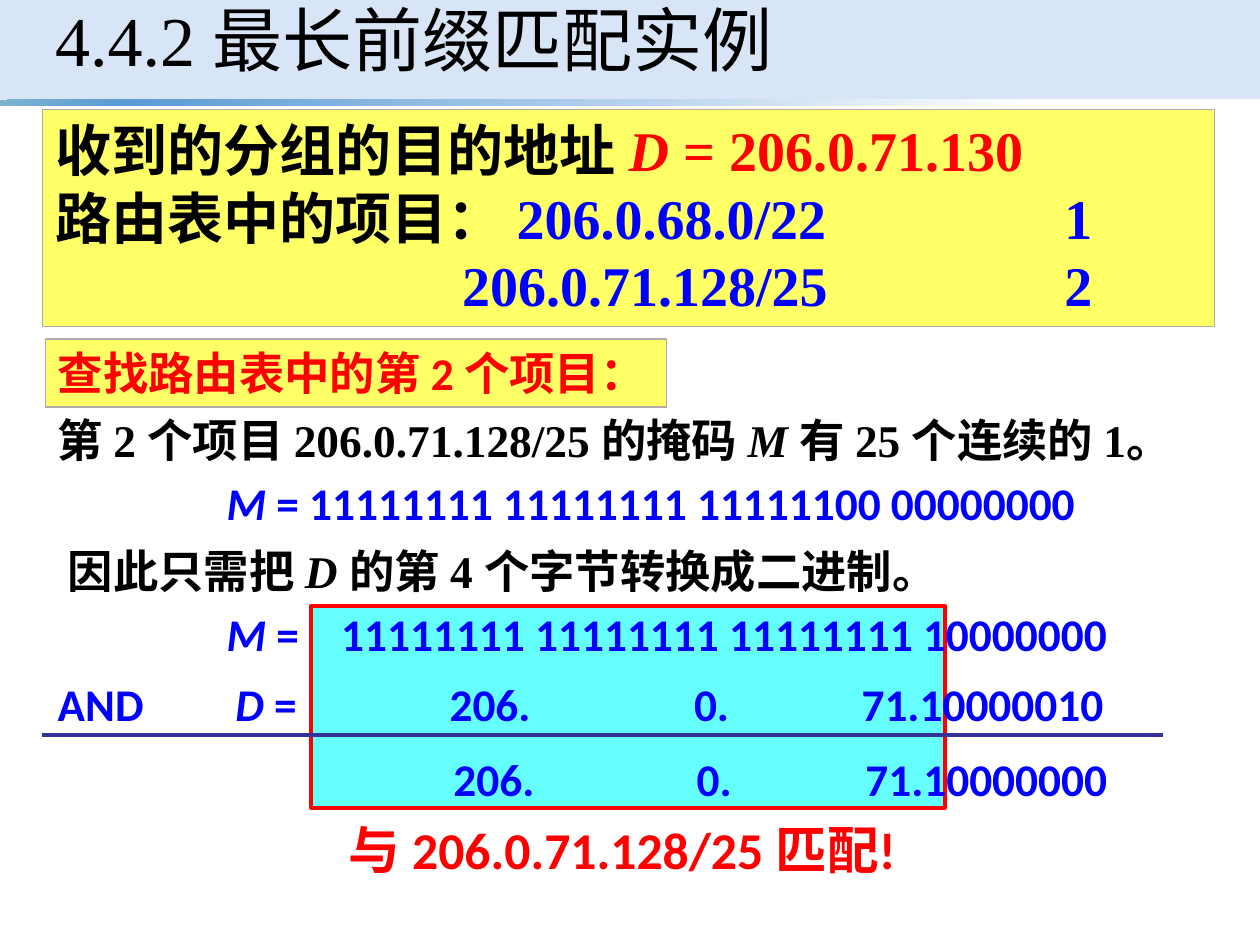
"""Build the slide on a longest-prefix-match example."""
import copy

import pptx
import pptx.dml.color
import pptx.enum.shapes
import pptx.enum.text
import pptx.oxml
import pptx.oxml.ns
import pptx.util

Inches = pptx.util.Inches
RGBColor = pptx.dml.color.RGBColor
qn = pptx.oxml.ns.qn

BLACK = RGBColor(0x00, 0x00, 0x00)
RED = RGBColor(0xFF, 0x00, 0x00)
BLUE = RGBColor(0x00, 0x00, 0xFF)
YELLOW = RGBColor(0xFF, 0xFF, 0x66)
CYAN = RGBColor(0x66, 0xFF, 0xFF)
GRAY = RGBColor(0xAF, 0xAB, 0xAB)
NAVY = RGBColor(0x33, 0x33, 0x99)
PALE_BLUE = RGBColor(0xC8, 0xDA, 0xF4)
STRIP_STOPS = [
    (0, RGBColor(0x7E, 0xB3, 0xD0)),
    (0.1, RGBColor(0x5B, 0x9B, 0xD5)),
    (0.82, RGBColor(0xFF, 0xFF, 0xFF)),
    (0.96, RGBColor(0xFF, 0xFF, 0xFF)),
]
SERIF = "Times New Roman"
SANS = "Calibri"


def run(text, **format):
    return text, format


def add_tabs(paragraph, stops):
    tab_list = paragraph._p.get_or_add_pPr().makeelement(qn("a:tabLst"), {})
    for stop in stops:
        tab = tab_list.makeelement(qn("a:tab"), {"pos": str(Inches(stop)), "algn": "l"})
        tab_list.append(tab)
    paragraph._p.get_or_add_pPr().append(tab_list)


def write(frame, paragraphs, size=25.9, font=SANS, color=BLUE, bold=True,
          wrap=False, tabs=(), spacing=None):
    frame.word_wrap = wrap
    frame.vertical_anchor = pptx.enum.text.MSO_ANCHOR.TOP
    for index, runs in enumerate(paragraphs):
        paragraph = frame.add_paragraph() if index else frame.paragraphs[0]
        paragraph.alignment = pptx.enum.text.PP_ALIGN.LEFT
        if spacing:
            paragraph.line_spacing = spacing
        if tabs:
            add_tabs(paragraph, tabs)
        for text, format in runs:
            piece = paragraph.add_run()
            piece.text = text
            piece.font.name = font
            piece.font.size = pptx.util.Pt(size)
            piece.font.bold = bold
            piece.font.italic = format.get("italic", False)
            piece.font.color.rgb = format.get("color", color)


class SlideBuilder:
    def __init__(self, slide):
        self.slide = slide

    def box(self, left, top, width, height, fill=None, line=None, line_width=0.75):
        shape = self.slide.shapes.add_shape(
            pptx.enum.shapes.MSO_SHAPE.RECTANGLE,
            Inches(left), Inches(top), Inches(width), Inches(height))
        shape.shadow.inherit = False
        if fill is not None:
            shape.fill.solid()
            shape.fill.fore_color.rgb = fill
        if line is None:
            shape.line.fill.background()
        else:
            shape.line.color.rgb = line
            shape.line.width = pptx.util.Pt(line_width)
        return shape

    def translucent_box(self, left, top, width, height, fill, opacity):
        shape = self.box(left, top, width, height, fill)
        color = shape._element.spPr.find(qn("a:solidFill"))[0]
        color.append(color.makeelement(qn("a:alpha"), {"val": str(opacity * 1000)}))

    def gradient_box(self, left, top, width, height, stops, angle):
        shape = self.box(left, top, width, height)
        shape.fill.gradient()
        shape.fill.gradient_angle = angle
        stop_list = shape._element.spPr.find(qn("a:gradFill")).find(qn("a:gsLst"))
        while len(stop_list) < len(stops):
            stop_list.append(copy.deepcopy(stop_list[0]))
        for stop, (position, color) in zip(shape.fill.gradient_stops, stops):
            stop.position = position
            stop.color.rgb = color

    def text(self, left, top, width, height, paragraphs, **format):
        label = self.slide.shapes.add_textbox(
            Inches(left), Inches(top), Inches(width), Inches(height))
        write(label.text_frame, paragraphs, **format)

    def text_box(self, left, top, width, height, paragraphs, **format):
        panel = self.box(left, top, width, height, YELLOW, GRAY)
        write(panel.text_frame, paragraphs, **format)

    def line(self, start, end, color, width):
        rule = self.slide.shapes.add_connector(
            pptx.enum.shapes.MSO_CONNECTOR.STRAIGHT,
            *[Inches(value) for value in start + end])
        rule.line.color.rgb = color
        rule.line.width = pptx.util.Pt(width)
        properties = rule._element.spPr
        properties.append(properties.makeelement(qn("a:effectLst"), {}))


def main():
    presentation = pptx.Presentation()
    presentation.slide_width = Inches(10)
    presentation.slide_height = Inches(7.5)
    page = SlideBuilder(presentation.slides.add_slide(presentation.slide_layouts[6]))

    page.translucent_box(0, 0, 10, 0.79, PALE_BLUE, 70)
    page.gradient_box(0, 0.79, 10, 0.05, STRIP_STOPS, 315)
    page.box(2.47, 4.81, 5.03, 1.6, CYAN, RED, 2.25)

    page.text_box(0.34, 0.87, 9.3, 1.72, [
        [run("收到的分组的目的地址 "), run("D", color=RED, italic=True),
         run(" = 206.0.71.130", color=RED)],
        [run("路由表中的项目： "), run("206.0.68.0/22\t1", color=BLUE)],
        [run("\t206.0.71.128/25\t2", color=BLUE)],
    ], size=32, font=SERIF, color=BLACK, wrap=True, tabs=(3.23, 8.01))
    page.text_box(0.36, 2.69, 4.93, 0.54, [[run("查找路由表中的第 2 个项目：")]], color=RED)

    page.text(0.36, 5.32, 8.61, 0.54, [
        [run("AND\t"), run("D ", italic=True), run("=\t206.\t0.\t71.10000010")],
    ], tabs=(1.41, 3.11, 5.05, 6.38))
    page.text(0.36, 3.22, 9.29, 0.54, [
        [run("第 2 个项目 206.0.71.128/25 的掩码 "), run("M ", italic=True),
         run("有 25 个连续的 1。")],
    ], font=SERIF, color=BLACK, wrap=True)
    page.text(0.44, 4.26, 7.14, 0.54, [
        [run("因此只需把 "), run("D ", italic=True), run("的第 4 个字节转换成二进制。")],
    ], font=SERIF, color=BLACK)

    for top, width, bits in [
        (3.72, 7, " = 11111111 11111111 11111100 00000000"),
        (4.76, 7.25, " =\t11111111 11111111 11111111 10000000"),
    ]:
        page.text(1.7, top, width, 0.54, [[run("M", italic=True), run(bits)]], tabs=(0.91,))

    page.line((0.33, 5.83), (9.23, 5.83), NAVY, 2.25)
    page.text(3.01, 5.91, 6.12, 0.54, [[run("\t206.\t0.\t71.10000000")]],
              tabs=(0.49, 2.42, 3.76))
    page.text(2.67, 6.44, 4.59, 0.6, [[run("与 206.0.71.128/25 匹配!")]],
              size=29.5, color=RED, wrap=True)
    page.text(0.34, 0, 9.33, 0.81, [[run("4.4.2 最长前缀匹配实例")]],
              size=40, font=SERIF, color=BLACK, bold=False, wrap=True, spacing=0.9)

    presentation.save("out.pptx")


if __name__ == "__main__":
    main()
